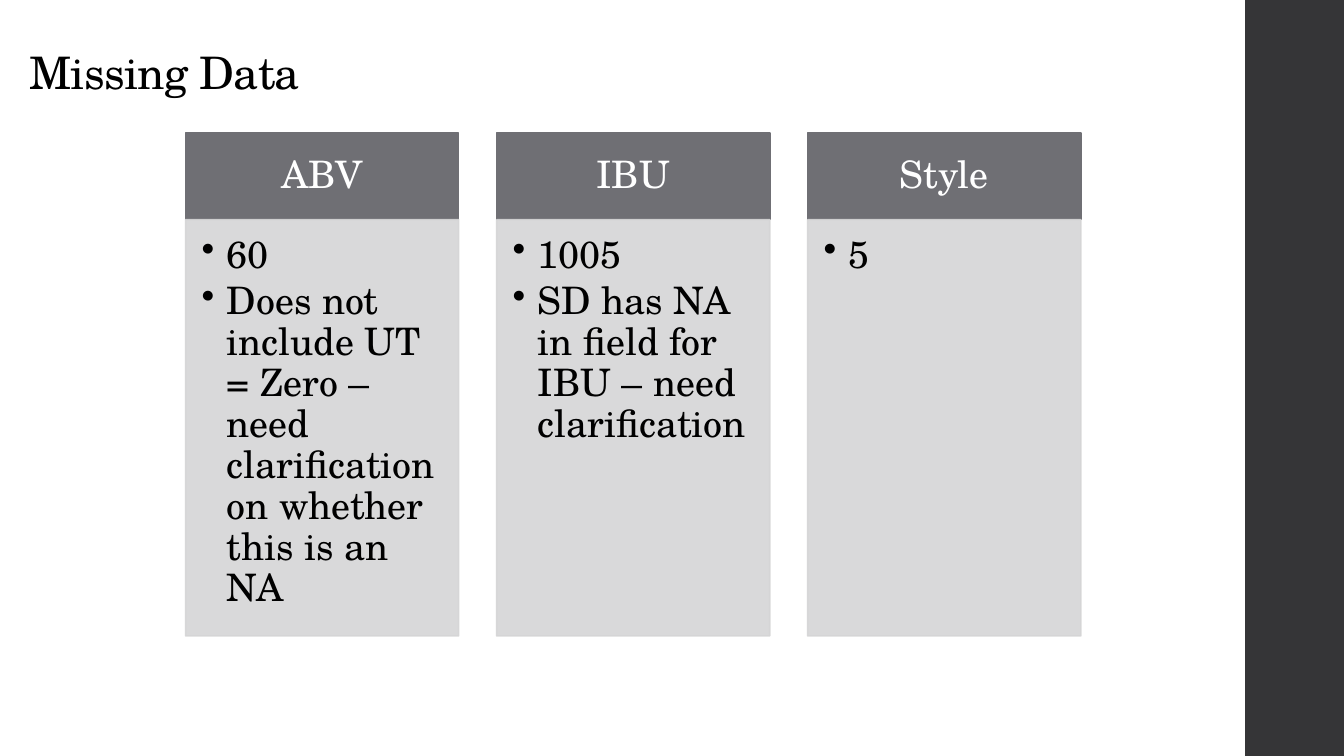
from pptx import Presentation
from pptx.dml.color import RGBColor
from pptx.enum.shapes import MSO_SHAPE
from pptx.enum.text import MSO_ANCHOR, MSO_AUTO_SIZE, PP_ALIGN
from pptx.oxml.ns import qn
from pptx.util import Inches, Pt
from lxml import etree

RECT = MSO_SHAPE.RECTANGLE
TOP, MIDDLE, BOTTOM = MSO_ANCHOR.TOP, MSO_ANCHOR.MIDDLE, MSO_ANCHOR.BOTTOM
LEFT, CENTER = PP_ALIGN.LEFT, PP_ALIGN.CENTER
FONT = "TeX Gyre Schola"
COLORS = {"side": "353537", "head": "6F6F74", "body": "D5D5D6",
          "dark": "000000", "light": "FFFFFF"}

COLUMNS = [
    ("ABV", ["60", "Does not include UT = Zero – need clarification "
                   "on whether this is an NA"]),
    ("IBU", ["1005", "SD has NA in field for IBU – need clarification"]),
    ("Style", ["5"]),
]
COL_LEFT, COL_STEP, COL_W = 1.84, 3.085, 2.71
HEAD_TOP, HEAD_H = 1.32, 0.86
BODY_TOP, BODY_H = HEAD_TOP + HEAD_H, 4.13


def add_box(s, x, y, w, h, color):
    sp = s.shapes.add_shape(RECT, Inches(x), Inches(y), Inches(w), Inches(h))
    sp.shadow.inherit = False
    sp.fill.solid()
    sp.fill.fore_color.rgb = RGBColor.from_string(COLORS[color])
    sp.line.color.rgb = RGBColor.from_string(COLORS[color])
    sp.line.width = Pt(1.1)
    return sp


def write(sp, lines, size, color, align, anchor, insets, after=0):
    """Fill a shape with paragraphs; insets run left, top, right, bottom."""
    tf = sp.text_frame
    tf.word_wrap = True
    tf.auto_size = MSO_AUTO_SIZE.NONE
    tf.vertical_anchor = anchor
    (tf.margin_left, tf.margin_top,
     tf.margin_right, tf.margin_bottom) = [Inches(i) for i in insets]
    tf.text = "\n".join(lines)
    for p in tf.paragraphs:
        p.alignment = align
        p.line_spacing = 0.9
        p.space_before = Pt(0)
        p.space_after = Pt(after)
        font = p.runs[0].font
        font.name = FONT
        font.size = Pt(size)
        font.color.rgb = RGBColor.from_string(COLORS[color])
    return tf


prs = Presentation()
prs.slide_width, prs.slide_height = Inches(13.33), Inches(7.5)
s = prs.slides.add_slide(prs.slide_layouts[5])

side = add_box(s, 12.35, 0, 0.98, 7.5, "side")
side.line.fill.background()

title = s.shapes.title
title.left, title.top = Inches(0.19), Inches(0.16)
title.width, title.height = Inches(12.17), Inches(0.87)
tf = write(title, ["Missing Data"], 32, "dark", LEFT, BOTTOM,
           (0.1, 0.05, 0.1, 0.05))
tf.paragraphs[0].runs[0].font._element.set("spc", "-50")

for i, (heading, items) in enumerate(COLUMNS):
    x = COL_LEFT + i * COL_STEP
    head = add_box(s, x, HEAD_TOP, COL_W, HEAD_H, "head")
    write(head, [heading], 27, "light", CENTER, MIDDLE,
          (0.21, 0.12, 0.21, 0.12))

    body = add_box(s, x, BODY_TOP, COL_W, BODY_H, "body")
    for clr in body._element.spPr.iter(qn("a:srgbClr")):
        etree.SubElement(clr, qn("a:alpha")).set("val", "90000")
    tf = write(body, items, 27, "dark", LEFT, TOP,
               (0.16, 0.16, 0.21, 0.24), after=4)
    for p in tf.paragraphs:
        p.level = 1
        pPr = p._p.get_or_add_pPr()
        pPr.set("marL", str(Inches(0.25)))
        pPr.set("indent", str(Inches(-0.25)))
        etree.SubElement(pPr, qn("a:buChar")).set("char", "•")

prs.save("out.pptx")
